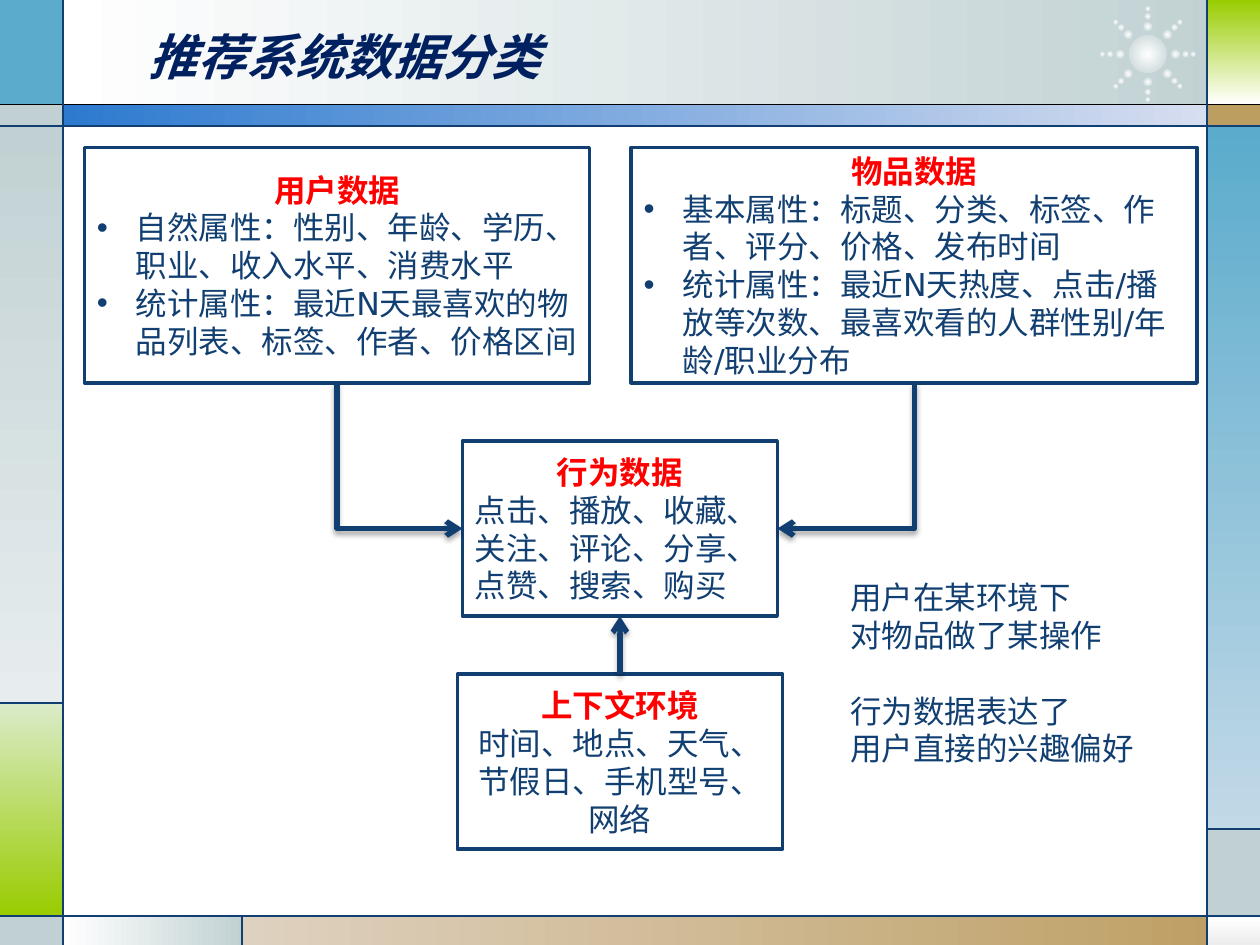
from math import cos, pi, sin

from lxml.etree import SubElement
from pptx import Presentation
from pptx.dml.color import RGBColor
from pptx.enum.lang import MSO_LANGUAGE_ID as Lang
from pptx.enum.shapes import MSO_CONNECTOR as Conn, MSO_SHAPE as Shape
from pptx.enum.text import MSO_ANCHOR as Anchor, MSO_AUTO_SIZE as Auto, PP_ALIGN as Align
from pptx.oxml.ns import qn
from pptx.util import Emu, Pt

SCALE = 9144
C = {
    "white": "FFFFFF", "navy": "113F71", "title": "002060", "red": "FF0000",
    "black": "000000", "mist": "C1D1D3", "pale": "E7EDEE", "sky": "5AABCC",
    "ice": "C2D9E7", "lime": "99CC00", "mint": "DBEBC9", "tan": "BD9E61",
    "sand": "DED1BF", "grey": "EDEDED", "blue": "2D7ACF", "haze": "D7DEF0",
}
HEAD = {"name": "DejaVu Sans", "size": Pt(18), "bold": True}
BODY = {"name": "DejaVu Sans", "size": Pt(18), "bold": False}
NOTE = {"name": "Arial", "size": Pt(18)}
TITLE = {"name": "Noto Sans CJK SC", "size": Pt(28), "bold": True, "italic": True}


def px(*values):
    """Turn px lengths into EMU."""
    return [Emu(round(v * SCALE)) for v in values]


def rgb(name):
    """Look up a colour by name."""
    return RGBColor.from_string(C[name])


def add_run(p, text, fmt, color, asian="DejaVu Sans"):
    """Add a formatted run to a paragraph."""
    r = p.add_run()
    r.text = text
    for key, value in fmt.items():
        setattr(r.font, key, value)
    r.font.language_id = Lang.SIMPLIFIED_CHINESE
    r.font.color.rgb = rgb(color)
    SubElement(r._r.get_or_add_rPr(), qn("a:ea"), typeface=asian)


def add_bullet(p):
    """Give a paragraph a hanging round bullet."""
    pPr = p._p.get_or_add_pPr()
    indent = px(31)[0]
    pPr.set("marL", str(indent))
    pPr.set("indent", str(-indent))
    SubElement(pPr, qn("a:buFont"), typeface="Arial")
    SubElement(pPr, qn("a:buChar"), char="•")


def add_panel(shapes, box, colors, angle=0, kind=Shape.RECTANGLE):
    """Add a borderless shape with a solid, linear or radial (angle None) fill."""
    sp = shapes.add_shape(kind, *px(*box))
    sp.shadow.inherit = False
    sp.line.fill.background()
    if len(colors) == 1:
        sp.fill.solid()
        sp.fill.fore_color.rgb = rgb(colors[0])
        return sp
    sp.fill.gradient()
    for stop, position, color in zip(sp.fill.gradient_stops, (0, 1), colors):
        stop.position = position
        stop.color.rgb = rgb(color)
    if angle is None:
        grad = sp._element.spPr.find(qn("a:gradFill"))
        grad.remove(grad.find(qn("a:lin")))
        radial = SubElement(grad, qn("a:path"), path="circle")
        SubElement(radial, qn("a:fillToRect"), l="50000", t="50000", r="50000", b="50000")
    else:
        sp.fill.gradient_angle = (360 - angle) % 360
    return sp


def add_line(s, ends, color="navy", width=0.75, kind=Conn.STRAIGHT):
    """Add a connector without a theme shadow."""
    c = s.shapes.add_connector(kind, *px(*ends))
    c.line.color.rgb = rgb(color)
    c.line.width = Pt(width)
    SubElement(c._element.spPr, qn("a:effectLst"))
    return c


def add_frame(s, box):
    """Draw the coloured border tiles and rules around the slide."""
    x, y, w, h = box
    left, right, top, bar, foot = 50, 958, 83, 100, 727
    edge, low = w - right, h - foot
    tiles = [
        (left, 0, 927, 84, ("white", "mist"), 0),
        (0, 0, left, 84, ("sky",), 0),
        (0, top, left, 17, ("mist",), 0),
        (0, bar, left, 458, ("mist", "pale"), 90),
        (0, 558, left, 169, ("mint", "lime"), 90),
        (0, foot, left, low, ("mist",), 0),
        (left, foot, 143, low, ("white", "mist"), 0),
        (192, foot, 808, low, ("sand", "tan"), 0),
        (right, foot, edge, low, ("white", "grey"), 90),
        (right, 658, edge, 70, ("mist",), 0),
        (right, bar, edge, 558, ("sky", "ice"), 90),
        (right, top, edge, 17, ("tan",), 0),
        (right, 0, edge, top, ("lime", "white"), 90),
        (left, top, 909, 17, ("blue", "haze"), 0),
    ]
    for tx, ty, tw, th, colors, angle in tiles:
        add_panel(s.shapes, (x + tx, y + ty, tw, th), colors, angle)
    add_sun(s, (x + 875, y + 7, 72, 72))
    rules = [
        (0, top, w, top, "black"), (0, bar, w, bar, "navy"), (0, foot, w, foot, "navy"),
        (left, 0, left, h, "navy"), (right, 0, right, h, "navy"),
        (left, 558, 0, 558, "navy"), (192, foot, 192, h, "navy"), (right, 658, w, 658, "navy"),
    ]
    for x1, y1, x2, y2, color in rules:
        add_line(s, (x + x1, y + y1, x + x2, y + y2), color)


def add_sun(s, box):
    """Draw a glowing core with eight rays of three shrinking dots."""
    x, y, w, h = box
    cx, cy = x + w / 2, y + h / 2
    group = s.shapes.add_group_shape()
    dots = [(0, 0, 30)]
    for ray in range(8):
        dots += [(ray * pi / 4, radius, size) for radius, size in ((22, 7), (30, 5), (36, 4))]
    for angle, radius, size in dots:
        dot = (cx + radius * cos(angle) - size / 2, cy + radius * sin(angle) - size / 2, size, size)
        add_panel(group.shapes, dot, ("white", "mist"), None, Shape.OVAL)


def add_card(s, box, heading, items, bullets=False, align=Align.LEFT):
    """Draw an outlined card with a red heading over its items."""
    sp = add_panel(s.shapes, box, ("white",))
    sp.line.color.rgb = rgb("navy")
    sp.line.width = Pt(2)
    tf = sp.text_frame
    tf.word_wrap = True
    tf.vertical_anchor = Anchor.MIDDLE
    tf.paragraphs[0].alignment = Align.CENTER
    add_run(tf.paragraphs[0], heading, HEAD, "red")
    for item in items:
        p = tf.add_paragraph()
        p.alignment = align
        if bullets:
            add_bullet(p)
        add_run(p, item, BODY, "navy")
    return sp


def add_arrow(s, start, start_site, end, end_site, bent=False):
    """Join two cards with a shadowed arrow, bent once if asked."""
    c = add_line(s, (0, 0, 0, 0), width=3, kind=Conn.ELBOW if bent else Conn.STRAIGHT)
    c.begin_connect(start, start_site)
    c.end_connect(end, end_site)
    if bent:
        x1, y1, x2, y2 = c.begin_x, c.begin_y, c.end_x, c.end_y
        w, h = abs(y2 - y1), abs(x2 - x1)
        c.left, c.top = Emu((x1 + x2 - w) // 2), Emu((y1 + y2 - h) // 2)
        c.width, c.height = Emu(w), Emu(h)
        xfrm = c._element.spPr.xfrm
        xfrm.flipH, xfrm.flipV = x2 > x1, False
        xfrm.rot = 270 if x2 > x1 else 90
        c._element.spPr.find(qn("a:prstGeom")).set("prst", "bentConnector2")
    SubElement(c.line._get_or_add_ln(), qn("a:tailEnd"), type="arrow")
    effects = c._element.spPr.find(qn("a:effectLst"))
    shadow = SubElement(effects, qn("a:outerShdw"), blurRad="40000", dist="23000",
                        dir="5400000", rotWithShape="0")
    tint = SubElement(shadow, qn("a:srgbClr"), val=C["black"])
    SubElement(tint, qn("a:alpha"), val="35000")


def add_diagram(s, box):
    """Place the four data cards and the arrows between them."""
    x, y, w, h = box
    user = add_card(s, (x, y, 401, 187), "用户数据", [
        "自然属性：性别、年龄、学历、职业、收入水平、消费水平",
        "统计属性：最近N天最喜欢的物品列表、标签、作者、价格区间"], bullets=True)
    item = add_card(s, (x + w - 449, y, 449, 187), "物品数据", [
        "基本属性：标题、分类、标签、作者、评分、价格、发布时间",
        "统计属性：最近N天热度、点击/播放等次数、最喜欢看的人群性别/年龄/职业分布"], bullets=True)
    action = add_card(s, (x + 300, y + 233, 250, 139), "行为数据",
                      ["点击、播放、收藏、关注、评论、分享、点赞、搜索、购买"])
    context = add_card(s, (x + 296, y + h - 139, 258, 139), "上下文环境",
                       ["时间、地点、天气、节假日、手机型号、网络"], align=Align.CENTER)
    add_arrow(s, user, 2, action, 1, bent=True)
    add_arrow(s, item, 2, action, 3, bent=True)
    add_arrow(s, context, 0, action, 2)


def add_note(s, box):
    """Write the two-part remark beside the diagram."""
    tf = s.shapes.add_textbox(*px(*box)).text_frame
    tf.word_wrap = False
    tf.auto_size = Auto.SHAPE_TO_FIT_TEXT
    lines = [("用户在某环境下", 0), ("对物品做了某操作", 0),
             ("行为数据表达了", 21.6), ("用户直接的兴趣偏好", 0)]
    for i, (text, gap) in enumerate(lines):
        p = tf.add_paragraph() if i else tf.paragraphs[0]
        p.space_before = Pt(gap)
        add_run(p, text, NOTE, "navy")


def add_title(s, box, text):
    """Move the title placeholder into the header and fill it."""
    sp = s.shapes.title
    sp.left, sp.top, sp.width, sp.height = px(*box)
    sp.element.getparent().append(sp.element)
    tf = sp.text_frame
    tf.auto_size = Auto.NONE
    tf.vertical_anchor = Anchor.MIDDLE
    tf.paragraphs[0].alignment = Align.LEFT
    add_run(tf.paragraphs[0], text, TITLE, "title", TITLE["name"])


def main():
    """Build the slide and save it."""
    prs = Presentation()
    prs.slide_width, prs.slide_height = px(1000, 750)
    s = prs.slides.add_slide(prs.slide_layouts[5])
    add_frame(s, (0, 0, 1000, 750))
    add_diagram(s, (67, 117, 883, 557))
    add_note(s, (665, 454, 247, 162))
    add_title(s, (108, 13, 733, 62), "推荐系统数据分类")
    prs.save("out.pptx")


if __name__ == "__main__":
    main()
